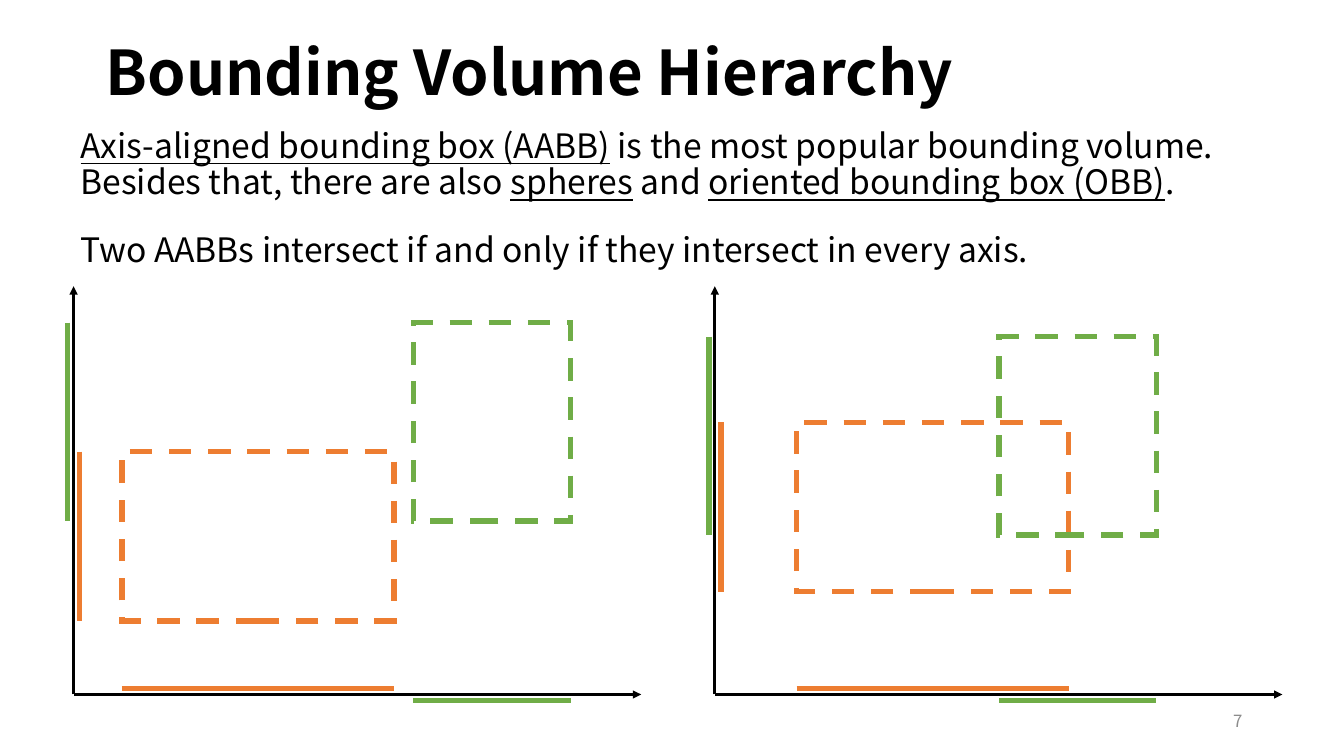
from dataclasses import dataclass

from lxml.etree import SubElement
from pptx import Presentation
from pptx.dml.color import RGBColor
from pptx.enum.dml import MSO_LINE_DASH_STYLE as Dash
from pptx.enum.shapes import MSO_CONNECTOR as Connector, MSO_SHAPE as Shape
from pptx.enum.text import MSO_ANCHOR as Anchor, PP_ALIGN as Align
from pptx.oxml.ns import qn
from pptx.util import Inches, Pt

COLORS = {"ink": "000000", "muted": "8C8C8C", "orange": "ED7D31", "green": "70AD47"}
FONT = "Noto Sans CJK SC"
AXIS_BOTTOM, AXIS_TOP, AXIS_LENGTH = 6.89, 2.84, 5.63
PROJECTION_GAP = 0.06
AXIS_WIDTH, BOX_WIDTH = 2, 4


@dataclass(frozen=True)
class Passage:
    left: float
    top: float
    width: float
    height: float
    runs: tuple[tuple[str, bool], ...]
    size: float = 24
    color: str = "ink"
    bold: bool = False
    align: Align = Align.LEFT
    spacing: float = 0.9


@dataclass(frozen=True)
class BoundingBox:
    left: float
    top: float
    width: float
    height: float
    color: str
    axis_side: int


@dataclass(frozen=True)
class Diagram:
    origin: float
    boxes: tuple[BoundingBox, ...]


def orange_box(left: float, top: float) -> BoundingBox:
    return BoundingBox(left, top, 2.7, 1.68, "orange", 1)


def green_box(left: float, top: float) -> BoundingBox:
    return BoundingBox(left, top, 1.56, 1.97, "green", -1)


def rgb(color: str) -> RGBColor:
    return RGBColor.from_string(COLORS[color])


def apply(target: object, values: dict[str, object]) -> None:
    for attribute, value in values.items():
        setattr(target, attribute, value)


def add_passage(shapes, passage: Passage) -> None:
    bounds = (passage.left, passage.top, passage.width, passage.height)
    frame = shapes.add_textbox(*map(Inches, bounds)).text_frame
    apply(frame, {"word_wrap": True, "vertical_anchor": Anchor.MIDDLE})
    paragraph = frame.paragraphs[0]
    apply(paragraph, {"alignment": passage.align, "line_spacing": passage.spacing})
    for words, underlined in passage.runs:
        run = paragraph.add_run()
        run.text = words
        apply(run.font, {"name": FONT, "size": Pt(passage.size),
                         "bold": passage.bold, "underline": underlined})
        run.font.color.rgb = rgb(passage.color)


def add_line(shapes, start: tuple[float, float], end: tuple[float, float],
             color: str, width: float, arrow: bool = False) -> None:
    segment = shapes.add_connector(Connector.STRAIGHT, *map(Inches, start + end))
    segment.line.color.rgb = rgb(color)
    segment.line.width = Pt(width)
    properties = segment.element.spPr
    if arrow:
        SubElement(properties.find(qn("a:ln")), qn("a:tailEnd"), type="triangle")
    SubElement(properties, qn("a:effectLst"))


def add_box(shapes, box: BoundingBox) -> None:
    bounds = (box.left, box.top, box.width, box.height)
    outline = shapes.add_shape(Shape.RECTANGLE, *map(Inches, bounds))
    outline.shadow.inherit = False
    outline.fill.background()
    outline.line.color.rgb = rgb(box.color)
    apply(outline.line, {"width": Pt(BOX_WIDTH), "dash_style": Dash.DASH})
    SubElement(outline.element.spPr.find(qn("a:ln")), qn("a:miter"), lim="800000")


def add_projections(shapes, box: BoundingBox, origin: float) -> None:
    shift = box.axis_side * PROJECTION_GAP
    x, y = origin + shift, AXIS_BOTTOM - shift
    add_line(shapes, (box.left, y), (box.left + box.width, y), box.color, BOX_WIDTH)
    add_line(shapes, (x, box.top), (x, box.top + box.height), box.color, BOX_WIDTH)


def add_diagram(shapes, diagram: Diagram) -> None:
    corner = (diagram.origin, AXIS_BOTTOM)
    for box in diagram.boxes:
        add_box(shapes, box)
    for tip in ((diagram.origin + AXIS_LENGTH, AXIS_BOTTOM), (diagram.origin, AXIS_TOP)):
        add_line(shapes, corner, tip, "ink", AXIS_WIDTH, arrow=True)
    for box in diagram.boxes:
        add_projections(shapes, box, diagram.origin)


PASSAGES = (
    Passage(0.95, 0.02, 11.5, 1.45, (("Bounding Volume Hierarchy", False),),
            size=44, bold=True),
    Passage(0.7, 1.06, 11.85, 1.17, (
        ("Axis-aligned bounding box (AABB)", True),
        (" is the most popular bounding volume. Besides that, there are also ", False),
        ("spheres", True),
        (" and ", False),
        ("oriented bounding box (OBB)", True),
        (".", False),
    )),
    Passage(0.7, 1.91, 11.85, 1.17, (
        ("Two AABBs intersect if and only if they intersect in every axis.", False),
    )),
    Passage(9.42, 6.95, 3, 0.4, (("7", False),),
            size=12, color="muted", align=Align.RIGHT, spacing=1.0),
)
DIAGRAMS = (
    Diagram(0.73, (orange_box(1.21, 4.48), green_box(4.1, 3.2))),
    Diagram(7.09, (orange_box(7.9, 4.19), green_box(9.91, 3.34))),
)

presentation = Presentation()
apply(presentation, {"slide_width": Inches(13.33), "slide_height": Inches(7.5)})
slide = presentation.slides.add_slide(presentation.slide_layouts[6])
for passage in PASSAGES:
    add_passage(slide.shapes, passage)
for diagram in DIAGRAMS:
    add_diagram(slide.shapes, diagram)
presentation.save("out.pptx")
